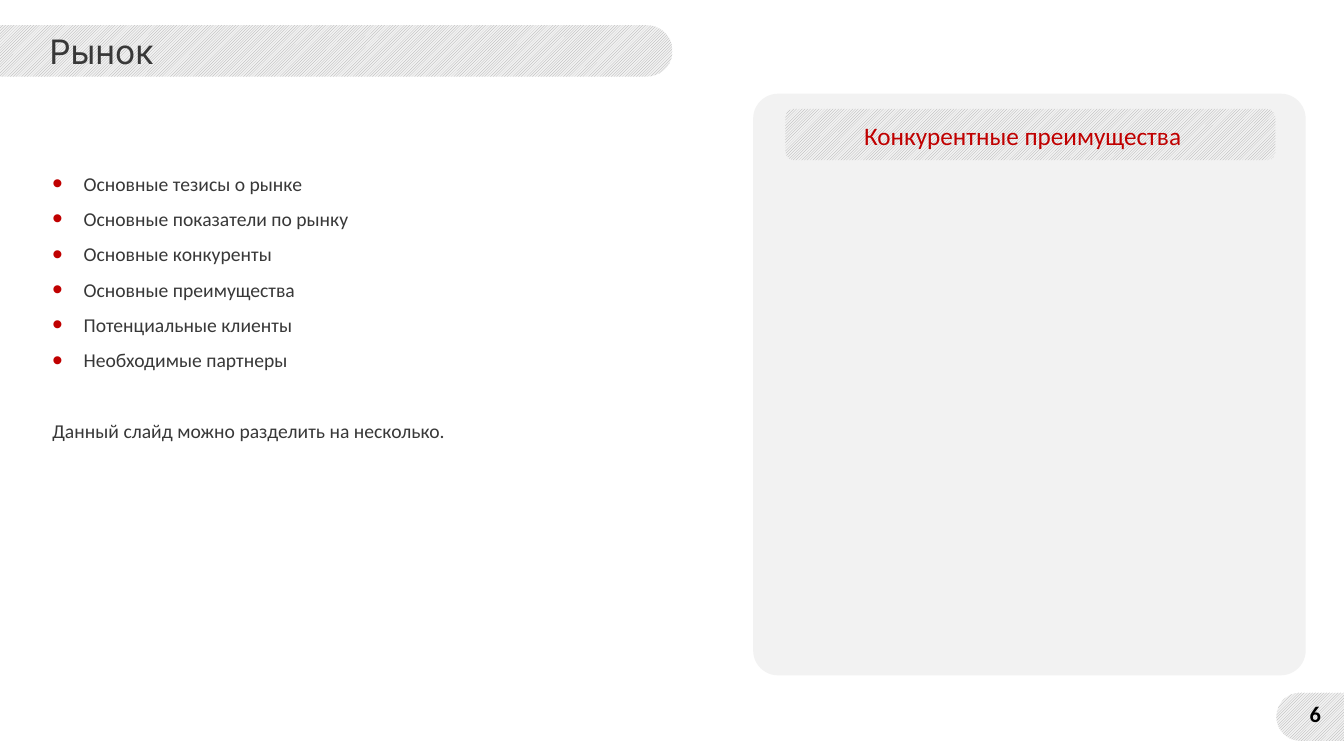
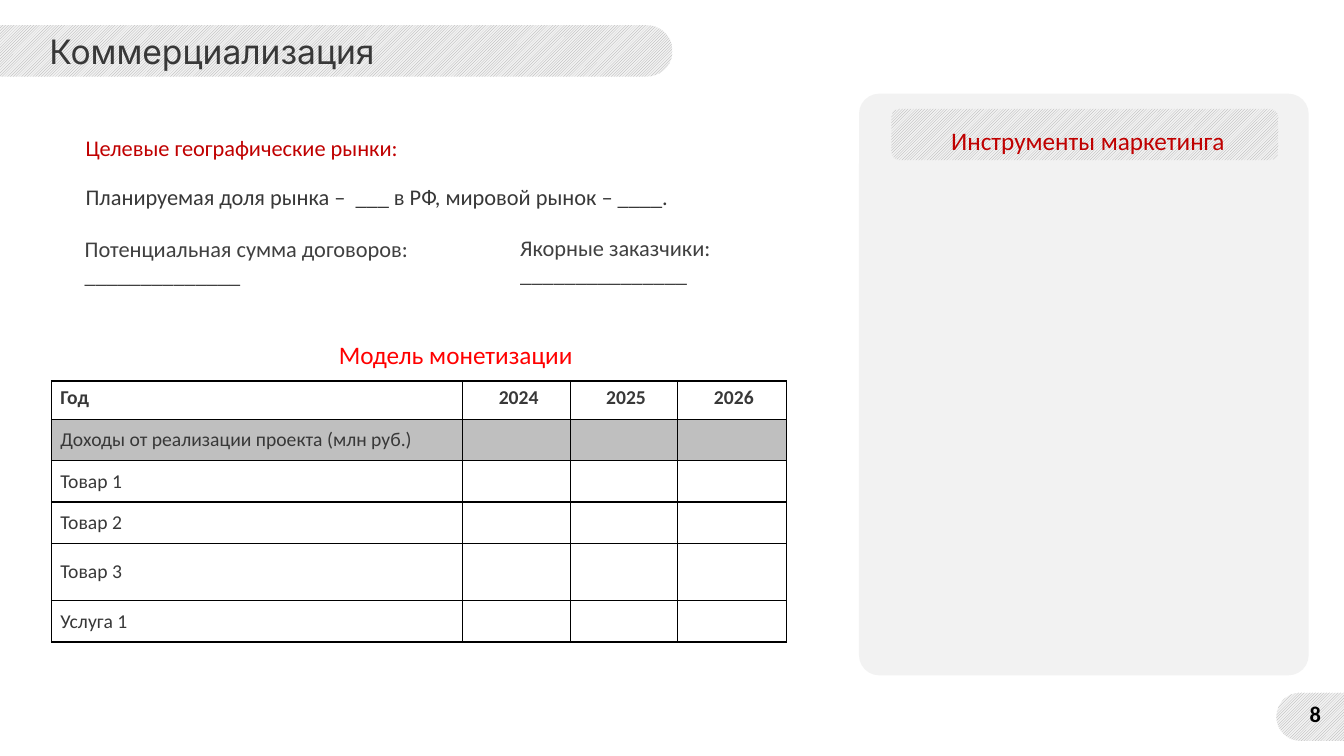
from lxml import etree
from pptx import Presentation
from pptx import util as u
from pptx.dml.color import RGBColor
from pptx.enum import dml, shapes, text
from pptx.oxml import ns

RED, BRIGHT, DARK, SLATE = "C00000", "FF0000", "383838", "404040"
PALE, HATCH, SILVER, WHITE, BLACK = "F2F2F2", "A6A6A6", "BFBFBF", "FFFFFF", "000000"
BODY, TITLE = "Calibri", "Inter"
WIDE, HIGH = 13.33, 7.5
LEFT, MID = text.PP_ALIGN.LEFT, text.PP_ALIGN.CENTER
TOP, HALF = text.MSO_ANCHOR.TOP, text.MSO_ANCHOR.MIDDLE
ROUND = shapes.MSO_SHAPE.ROUNDED_RECTANGLE
TAB = shapes.MSO_SHAPE.ROUND_2_SAME_RECTANGLE


def hue(code):
    """Turn a hex string into a colour."""
    return RGBColor.from_string(code)


def add(parent, tag, **attrs):
    """Append a drawing element to a parent."""
    return etree.SubElement(parent, ns.qn(tag), attrs)


def write(frame, lines, size=16, color=DARK, font=BODY, bold=False, align=LEFT, space=None):
    """Fill a text frame with evenly styled paragraphs."""
    frame.text = "\n".join(lines)
    for para in frame.paragraphs:
        para.alignment = align
        if space:
            para.line_spacing = space
        for run in para.runs:
            run.font.size = u.Pt(size)
            run.font.name = font
            run.font.bold = bold
            run.font.color.rgb = hue(color)


def label(slide, box, lines, pad=(0.05, 0.05), anchor=TOP, **style):
    """Place a text box with the given side and end padding."""
    frame = slide.shapes.add_textbox(*map(u.Inches, box)).text_frame
    frame.word_wrap = True
    frame.vertical_anchor = anchor
    frame.margin_left = frame.margin_right = u.Inches(pad[0])
    frame.margin_top = frame.margin_bottom = u.Inches(pad[1])
    write(frame, lines, **style)
    return frame


def block(slide, kind, box, *rounds):
    """Add a pale shape without outline or shadow."""
    shape = slide.shapes.add_shape(kind, *map(u.Inches, box))
    shape.shadow.inherit = False
    shape.line.fill.background()
    shape.fill.solid()
    shape.fill.fore_color.rgb = hue(PALE)
    for i, value in enumerate(rounds):
        shape.adjustments[i] = value
    return shape


def band(slide, kind, box, *rounds, flip=True):
    """Add a hatched band that covers the box after a quarter turn."""
    x, y, w, h = box
    shape = block(slide, kind, (x + (w - h) / 2, y + (h - w) / 2, h, w), *rounds)
    shape.rotation = 270
    if flip:
        shape._element.spPr.find(ns.qn("a:xfrm")).set("flipV", "1")
    shape.fill.patterned()
    shape.fill.pattern = dml.MSO_PATTERN.LIGHT_UPWARD_DIAGONAL
    shape.fill.fore_color.rgb = hue(HATCH)
    shape.fill.back_color.rgb = hue(PALE)


def base(deck, title, page):
    """Add a slide with its title band and page tab."""
    slide = deck.slides.add_slide(deck.slide_layouts[6])
    band(slide, TAB, (0, 0.25, 6.67, 0.51), 0.5, 0)
    band(slide, TAB, (WIDE - 0.67, 6.87, 0.67, 0.48), 0.5, 0, flip=False)
    label(slide, (0.39, 0.26, 7.42, 0.5), [title], (0.1, 0.05), size=24, font=TITLE)
    label(slide, (12.85, 6.86, 0.39, 0.44), [str(page)], (0, 0), HALF,
          color=BLACK, bold=True, align=MID)
    return slide


def panel(slide, left, width, head, box, **style):
    """Add a side panel with a heading placed relative to it."""
    top = 0.93
    block(slide, ROUND, (left, top, width, 5.77), 0.045)
    band(slide, ROUND, (left + 0.32, top + 0.15, width - 0.62, 0.51))
    x, y, w, h = box
    label(slide, (left + x, top + y, w, h), [head], size=18, color=RED, **style)


def points(slide, box, items, note):
    """Add a bulleted list closed by a plain note."""
    frame = label(slide, box, items + [note], (0.06, 0.06), HALF, size=14, space=1.5)
    *rows, last = frame.paragraphs
    for para in rows:
        props = para._p.get_or_add_pPr()
        props.set("marL", str(u.Inches(0.31)))
        props.set("indent", str(-u.Inches(0.31)))
        add(add(props, "a:buClr"), "a:srgbClr", val=RED)
        add(props, "a:buSzPct", val="150000")
        add(props, "a:buFont", typeface="Arial")
        add(props, "a:buChar", char="•")
    last.space_before = u.Pt(25.5)


def edge(cell):
    """Draw thin black borders round a cell."""
    props = cell._tc.get_or_add_tcPr()
    for side in "LRTB":
        line = add(props, "a:ln" + side, w=str(u.Pt(1)))
        add(add(line, "a:solidFill"), "a:srgbClr", val=BLACK)


def grid(slide, left, top, wides, highs, rows):
    """Add a bordered table with a bold head and a shaded total row."""
    size = map(u.Inches, (left, top, sum(wides), sum(highs)))
    table = slide.shapes.add_table(len(highs), len(wides), *size).table
    table.first_row = table.horz_banding = False
    for col, wide in zip(table.columns, wides):
        col.width = u.Inches(wide)
    for r, (high, words) in enumerate(zip(highs, rows)):
        table.rows[r].height = u.Inches(high)
        for c in range(len(wides)):
            cell = table.cell(r, c)
            edge(cell)
            cell.fill.solid()
            cell.fill.fore_color.rgb = hue(SILVER if r == 1 else WHITE)
            cell.margin_left = u.Inches(0.09)
            cell.margin_right = cell.margin_top = cell.margin_bottom = u.Inches(0.05)
            cell.vertical_anchor = HALF if r else TOP
            if c < len(words):
                write(cell.text_frame, [words[c]], size=14, bold=r == 0,
                      align=MID if c else LEFT)


def market(deck):
    """Build the market slide."""
    slide = base(deck, "Рынок", 6)
    panel(slide, 7.47, 5.48, "Конкурентные преимущества", (1.05, 0.21, 3.54, 0.4))
    points(slide, (0.46, 1.52, 5.3, 2.94), [
        "Основные тезисы о рынке",
        "Основные показатели по рынку",
        "Основные конкуренты",
        "Основные преимущества",
        "Потенциальные клиенты",
        "Необходимые партнеры",
    ], "Данный слайд можно разделить на несколько.")


def sales(deck):
    """Build the commercial slide."""
    slide = base(deck, "Коммерциализация", 8)
    panel(slide, 8.52, 4.46, "Инструменты маркетинга", (0.65, 0.11, 3.24, 0.56),
          anchor=HALF, align=MID, space=1.5)
    label(slide, (0.75, 1.26, 6.88, 0.39), ["Целевые географические рынки:"],
          (0.1, 0.05), color=RED, space=1.07)
    label(slide, (0.79, 1.76, 6.57, 0.38),
          ["Планируемая доля рынка –  ___ в РФ, мировой рынок – ____."], (0.06, 0.06), HALF)
    label(slide, (0.79, 2.28, 3.43, 0.64),
          ["Потенциальная сумма договоров: ______________"], color=SLATE)
    label(slide, (5.11, 2.27, 3.9, 0.64),
          ["Якорные заказчики:", "_______________"], color=SLATE)
    label(slide, (3.31, 3.17, 2.51, 0.51), ["Модель монетизации"],
          size=18, color=BRIGHT, space=1.5)
    grid(slide, 0.51, 3.78, (4.08, 1.07, 1.06, 1.08),
         (0.38, 0.41, 0.41, 0.41, 0.57, 0.41), [
             ["Год", "2024", "2025", "2026"],
             ["Доходы от реализации проекта (млн руб.)"],
             ["Товар 1"],
             ["Товар 2"],
             ["Товар 3"],
             ["Услуга 1"],
         ])


def main():
    """Build and save the deck."""
    deck = Presentation()
    deck.slide_width, deck.slide_height = u.Inches(WIDE), u.Inches(HIGH)
    market(deck)
    sales(deck)
    deck.save("out.pptx")


if __name__ == "__main__":
    main()
